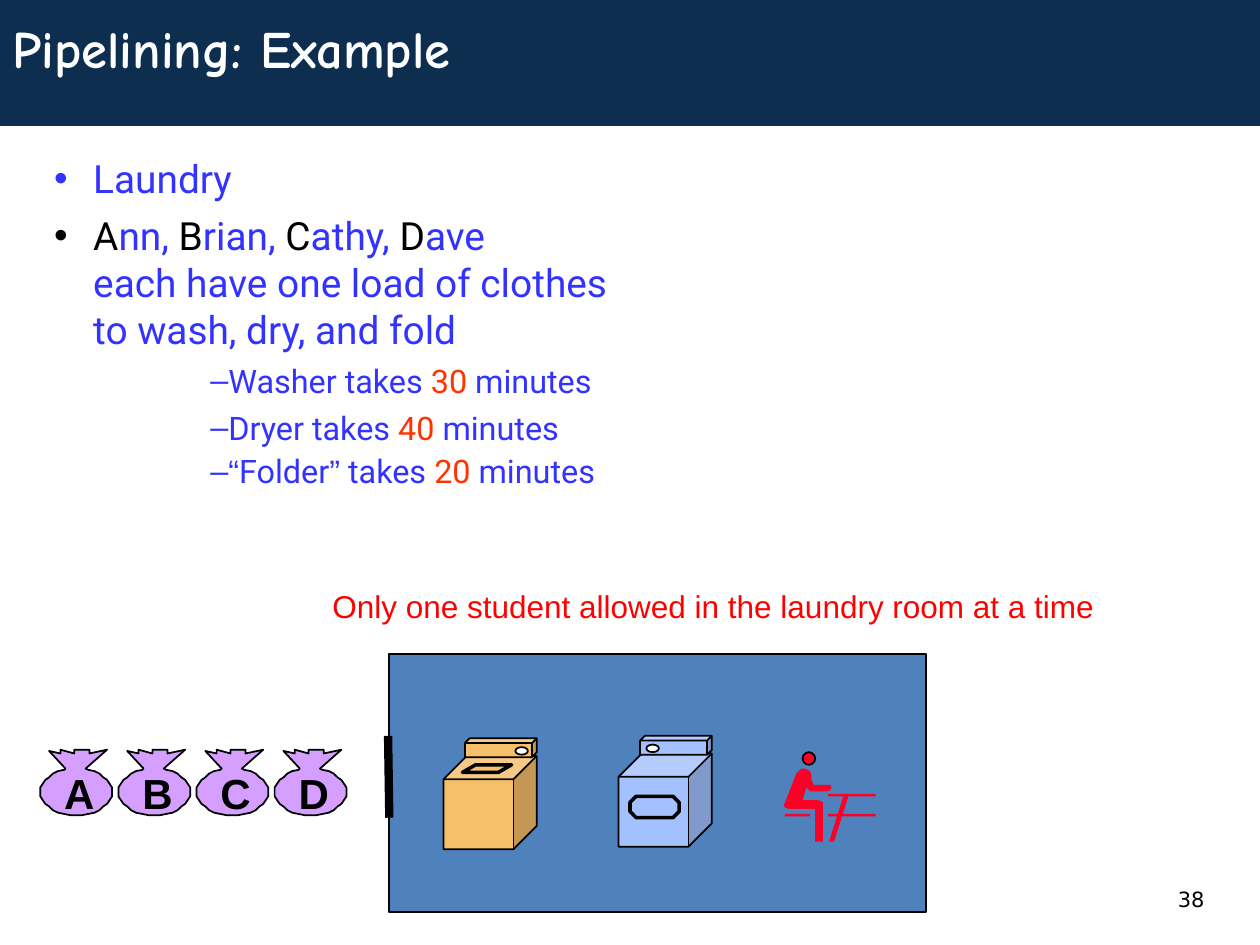
from copy import deepcopy
from dataclasses import dataclass
from math import cos, radians, sin

from lxml.etree import SubElement
from pptx import Presentation
from pptx.dml.color import RGBColor
from pptx.enum.shapes import MSO_CONNECTOR, MSO_SHAPE
from pptx.enum.text import MSO_ANCHOR, MSO_AUTO_SIZE, PP_ALIGN
from pptx.oxml.ns import qn
from pptx.util import Inches, Pt


@dataclass(frozen=True)
class Theme:
    navy: str = "0D2E4F"
    room: str = "4F81BD"
    black: str = "000000"
    white: str = "FFFFFF"
    blue: str = "3333FF"
    orange: str = "FF3300"
    red: str = "FF0000"
    figure: str = "FC0128"
    washer: str = "F6BF69"
    dryer: str = "A2C1FE"
    bag: str = "D49FFF"
    title: float = 30
    item: float = 22.2
    step: float = 18.5
    label: float = 24
    note: float = 18
    number: float = 12


T = Theme()
TOPICS = [
    [("Laundry", T.blue)],
    [("A", T.black), ("nn, ", T.blue), ("B", T.black), ("rian, ", T.blue),
     ("C", T.black), ("athy,", T.blue), (" D", T.black),
     ("ave \neach have one load of clothes \nto wash, dry, and fold", T.blue)],
]
STEPS = [
    [("Washer takes ", T.blue), ("30", T.orange), (" minutes", T.blue)],
    [("Dryer takes", T.blue), (" 40", T.orange), (" minutes", T.blue)],
    [("“", T.blue, "Arial"), ("Folder", T.blue), ("”", T.blue, "Arial"),
     (" takes ", T.blue), ("20", T.orange), (" minutes", T.blue)],
]
# Outlines in hundredths of an inch
NECK = [(20, 15), (7, 1), (16, 3), (16, 0), (27, 3), (27, 0), (39, 0),
        (39, 3), (53, 0), (36, 15)]
BELLY = [(28.5 + 28.5 * sin(radians(a)), 33.5 - 18.5 * cos(radians(a)))
         for a in range(20, 341, 10)]
BODY = [(10, 17), (1, 40), (0, 42), (1, 44), (4, 45), (25, 45), (25, 71),
        (31, 71), (31, 40), (30, 39), (27, 38), (15, 38), (18, 28), (21, 31),
        (35, 31), (37, 30), (38, 28), (37, 26), (35, 26), (24, 26), (22, 22),
        (22, 18), (21, 15), (19, 14), (17, 13), (14, 13), (12, 15)]
LEG = [(48, 33), (52, 33), (40, 71), (36, 71)]


def color(hue):
    return RGBColor.from_string(hue)


def style(run, size, hue, face, bold=False):
    font = run.font
    font.size, font.name, font.bold = Pt(size), face, bold
    font.color.rgb = color(hue)


def paint(shape, fill, line=None):
    """Fill a shape; line is a black outline's width in points."""
    shape.shadow.inherit = False
    shape.fill.solid()
    shape.fill.fore_color.rgb = color(fill)
    if line:
        shape.line.color.rgb = color(T.black)
        shape.line.width = Pt(line)
    else:
        shape.line.fill.background()
    return shape


def place(shape, x, y, w, h):
    shape.left, shape.top = Inches(x), Inches(y)
    shape.width, shape.height = Inches(w), Inches(h)


def draw(shapes, kind, x, y, w, h, fill, line=None, adj=None):
    shape = shapes.add_shape(kind, Inches(x), Inches(y), Inches(w), Inches(h))
    if adj is not None:
        shape.adjustments[0] = adj
    return paint(shape, fill, line)


def trace(shapes, x, y, points, fill, line=None):
    pen = shapes.build_freeform(*points[0], scale=Inches(0.01))
    pen.add_line_segments(points[1:], close=True)
    return paint(pen.convert_to_shape(Inches(x), Inches(y)), fill, line)


def write(shapes, x, y, w, h, text, size, hue, face, bold=False, align=PP_ALIGN.LEFT):
    box = shapes.add_textbox(Inches(x), Inches(y), Inches(w), Inches(h))
    box.text_frame.text = text
    para = box.text_frame.paragraphs[0]
    para.alignment = align
    style(para.runs[0], size, hue, face, bold)


def header(slide, x, y, w, h):
    band = draw(slide.shapes, MSO_SHAPE.RECTANGLE, x, y, w, h, T.navy)
    slide.shapes._spTree.insert(2, band._element)
    title = slide.shapes.title
    place(title, x, y + 0.01, w, 0.74)
    frame = title.text_frame
    frame.text = "Pipelining: Example"
    frame.vertical_anchor = MSO_ANCHOR.MIDDLE
    frame.auto_size = MSO_AUTO_SIZE.NONE
    frame.paragraphs[0].alignment = PP_ALIGN.LEFT
    style(frame.paragraphs[0].runs[0], T.title, T.white, "Comic Neue", True)


def bullet(para, mark, hue, left, indent):
    props = para._p.get_or_add_pPr()
    props.set("marL", str(Inches(left)))
    props.set("indent", str(Inches(indent)))
    SubElement(SubElement(props, qn("a:buClr")), qn("a:srgbClr"), val=hue)
    SubElement(props, qn("a:buFont"), typeface="Arial")
    SubElement(props, qn("a:buChar"), char=mark)


def fill_para(para, parts, size):
    for text, hue, *face in parts:
        for i, line in enumerate(text.split("\n")):
            if i:
                para.add_line_break()
                # a break takes the size of the run before it
                rule = para.runs[-1]._r.find(qn("a:rPr"))
                para._p.findall(qn("a:br"))[-1].append(deepcopy(rule))
            run = para.add_run()
            run.text = line
            style(run, size, hue, face[0] if face else "Roboto")


def topics(slide, x, y, w, h):
    body = slide.placeholders[1]
    place(body, x, y, w, h)
    frame = body.text_frame
    frame.auto_size = MSO_AUTO_SIZE.NONE
    for i, parts in enumerate(TOPICS + STEPS):
        para = frame.add_paragraph() if i else frame.paragraphs[0]
        if i < len(TOPICS):
            bullet(para, "•", parts[0][1], 0.31, -0.31)
            para.space_before = Pt(6 if i else 0)
            fill_para(para, parts, T.item)
        else:
            para.level = 1
            bullet(para, "–", T.blue, 0.75, 0.49)
            para.space_before = Pt(5)
            fill_para(para, parts, T.step)
    para.line_spacing = 0.9


def machine(slide, x, y, hue, knob, kind, door, adj):
    """Washer or dryer; knob is its offset, door its box from the corner."""
    shapes = slide.shapes.add_group_shape().shapes
    draw(shapes, MSO_SHAPE.CUBE, x, y + 0.14, 0.74, 0.74, hue, 1, 0.25)
    draw(shapes, MSO_SHAPE.CUBE, x + 0.17, y, 0.57, 0.15, hue, 1, 0.25)
    draw(shapes, MSO_SHAPE.OVAL, x + knob, y + 0.07, 0.1, 0.06, T.white, 1)
    left, top, w, h = door
    draw(shapes, kind, x + left, y + top, w, h, hue, 2, adj)


def folder(slide, x, y):
    """Person folding at a table."""
    shapes = slide.shapes.add_group_shape().shapes
    trace(shapes, x, y, LEG, T.figure)
    for left, top, w in ((0.35, 0.33, 0.38), (0.35, 0.49, 0.38), (0.01, 0.49, 0.2)):
        draw(shapes, MSO_SHAPE.RECTANGLE, x + left, y + top, w, 0.02, T.figure)
    draw(shapes, MSO_SHAPE.OVAL, x + 0.15, y, 0.1, 0.1, T.figure, 1)
    trace(shapes, x, y, BODY, T.figure)


def room(slide, x, y, w, h):
    draw(slide.shapes, MSO_SHAPE.RECTANGLE, x, y, w, h, T.room, 1)
    machine(slide, x + 0.43, y + 0.67, T.washer, 0.57,
            MSO_SHAPE.PARALLELOGRAM, (0.15, 0.21, 0.39, 0.06), 1.75)
    machine(slide, x + 1.82, y + 0.65, T.dryer, 0.22,
            MSO_SHAPE.OCTAGON, (0.09, 0.48, 0.39, 0.17), 0.29)
    folder(slide, x + 3.13, y + 0.78)
    door = slide.shapes.add_connector(
        MSO_CONNECTOR.STRAIGHT, Inches(x - 0.01), Inches(y + 0.65),
        Inches(x), Inches(y + 1.3))
    door.line.color.rgb = color(T.black)
    door.line.width = Pt(4.75)
    SubElement(door._element.spPr, qn("a:effectLst"))


def bags(slide, x, y, step):
    shapes = slide.shapes.add_group_shape().shapes
    for i, name in enumerate("ABCD"):
        left = x + i * step
        trace(shapes, left, y, NECK + BELLY, T.bag, 1)
        write(shapes, left + 0.09, y + 0.09, 0.44, 0.5, name, T.label,
              T.black, "Arial", True, PP_ALIGN.CENTER)


def main():
    deck = Presentation()
    deck.slide_width, deck.slide_height = Inches(10), Inches(7.5)
    slide = deck.slides.add_slide(deck.slide_layouts[1])
    header(slide, 0, 0, 10, 1)
    topics(slide, 0.33, 1.18, 7.25, 2.9)
    room(slide, 3.09, 5.19, 4.26, 2.05)
    bags(slide, 0.32, 5.95, 0.62)
    write(slide.shapes, 2.54, 4.61, 6.31, 0.4,
          "Only one student allowed in the laundry room at a time",
          T.note, T.red, "Arial")
    write(slide.shapes, 9.25, 6.99, 0.72, 0.5, "38", T.number, T.black, "DejaVu Sans")
    deck.save("out.pptx")


if __name__ == "__main__":
    main()
